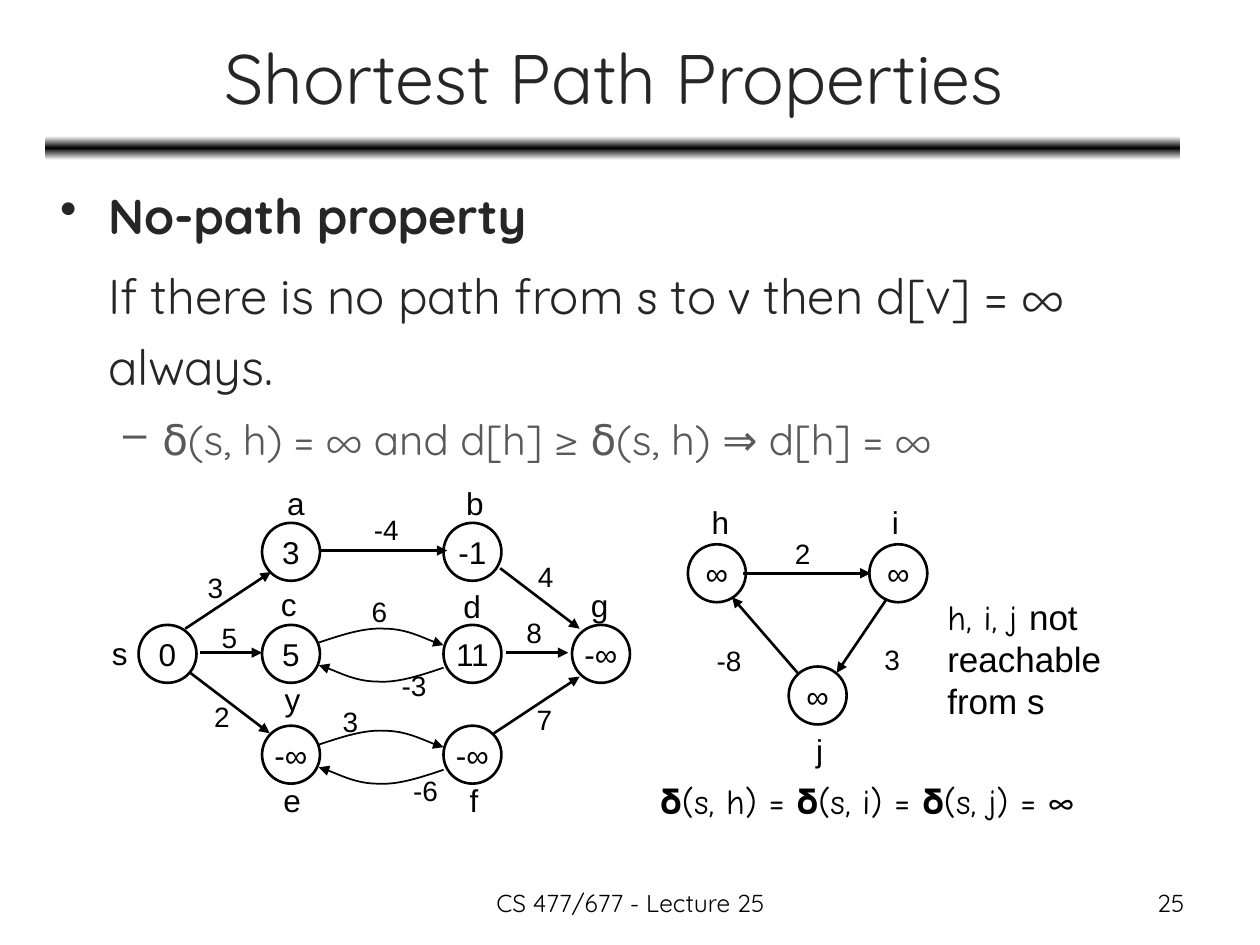
"""Build the lecture slide on the no-path property of shortest paths."""
from copy import deepcopy

from pptx import Presentation, util as u
from pptx.dml.color import RGBColor
from pptx.enum import shapes as es, text as et
from pptx.oxml.ns import qn
from pptx.oxml.xmlchemy import OxmlElement

BLACK = RGBColor(0, 0, 0)
WHITE = RGBColor(255, 255, 255)
DARK = RGBColor(0x26, 0x26, 0x26)
GREY = RGBColor(0x59, 0x59, 0x59)
SANS, HAND, ROUND = "Arial", "Comic Neue", "Quicksand"
MID, RIGHT = et.PP_ALIGN.CENTER, et.PP_ALIGN.RIGHT


def write(frame, rows, size, name=SANS, color=BLACK, wrap=False, **form):
    frame.word_wrap = wrap
    for i, row in enumerate(rows):
        para = frame.paragraphs[0] if i == 0 else frame.add_paragraph()
        for key, val in form.items():
            setattr(para, key, val)
        for words, look in row:
            run = para.add_run()
            run.text = words
            run.font.color.rgb = color
            for key, val in {"size": u.Pt(size), "name": name, **look}.items():
                setattr(run.font, key, val)


def stroke(shape, width, head=True):
    shape.line.color.rgb = BLACK
    shape.line.width = u.Pt(width)
    props = shape._element.spPr
    if head:
        tail = OxmlElement("a:tailEnd")
        tail.set("type", "triangle")
        props.find(qn("a:ln")).append(tail)
    if props.find(qn("a:effectLst")) is None:
        props.append(OxmlElement("a:effectLst"))


deck = Presentation()
deck.slide_width, deck.slide_height = u.Inches(10), u.Inches(7.5)
slide = deck.slides.add_slide(deck.slide_layouts[5])
items = slide.shapes

bar = items.add_shape(es.MSO_SHAPE.ROUNDED_RECTANGLE, u.Inches(0.36),
                      u.Inches(1.08), u.Inches(9.01), u.Inches(0.19))
bar.shadow.inherit = False
bar.line.fill.background()
bar.fill.gradient()
bar.fill.gradient_angle = 270
stops = bar._element.spPr.find(".//" + qn("a:gsLst"))
stops.append(deepcopy(stops[0]))
for stop, spot, color in zip(bar.fill.gradient_stops, (0, 0.5, 1), (WHITE, BLACK, WHITE)):
    stop.position = spot
    stop.color.rgb = color

title = items.title
place = {"left": 0.37, "top": 0.11, "width": 9, "height": 0.99}
for key, val in place.items():
    setattr(title, key, u.Inches(val))
title.text_frame.vertical_anchor = et.MSO_ANCHOR.MIDDLE
write(title.text_frame, [[("Shortest Path Properties", {})]], 40, ROUND, DARK, True, alignment=MID)

body = items.add_textbox(u.Inches(0.38), u.Inches(1.33), u.Inches(9.33), u.Inches(5.55)).text_frame
hand = {"name": HAND}
write(body, [
    [("No-path property", {"bold": True})],
    [("If there is no path from ", {}), ("s", hand), (" to ", {}), ("v", hand),
     (" then d[v] = ∞ always.", {})],
    [("δ(s, h) = ∞ and d[h] ≥ δ(s, h) ⇒ d[h] = ∞", {"size": u.Pt(24)})],
], 28, ROUND, DARK, True, line_spacing=1.2, space_before=u.Pt(5.6))
last = body.paragraphs[2]
last.level, last.space_before = 1, u.Pt(4.8)
last.runs[0].font.color.rgb = GREY
for para, left, hang, mark in zip(body.paragraphs, (0.38, 0.38, 0.81), (0.38, 0, 0.31), ("•", "", "–")):
    props = para._p.get_or_add_pPr()
    props.set("marL", str(u.Inches(left)))
    props.set("indent", str(-u.Inches(hang)))
    if mark:
        sign = OxmlElement("a:buChar")
        sign.set("char", mark)
        props.append(sign)

COLS, ROWS, DISC = (1.1, 2.08, 3.52, 4.54), (4.15, 4.96, 5.76), 0.46
nodes = [
    ("0", COLS[0], ROWS[1]), ("3", COLS[1], ROWS[0]), ("-1", COLS[2], ROWS[0]),
    ("5", COLS[1], ROWS[1]), ("11", COLS[2], ROWS[1]), ("-∞", COLS[3], ROWS[1]),
    ("-∞", COLS[1], ROWS[2]), ("-∞", COLS[2], ROWS[2]),
    ("∞", 5.46, 4.32), ("∞", 6.9, 4.32), ("∞", 6.26, 5.29),
]
for words, x, y in nodes:
    node = items.add_shape(es.MSO_SHAPE.OVAL, u.Inches(x), u.Inches(y), u.Inches(DISC), u.Inches(DISC))
    node.fill.background()
    node.shadow.inherit = False
    stroke(node, 1.5, False)
    node.text_frame.vertical_anchor = et.MSO_ANCHOR.MIDDLE
    write(node.text_frame, [[(words, {})]], 18, alignment=MID)

edges = [
    (2.54, 4.37, 3.55, 4.37), (1.47, 4.99, 2.15, 4.54), (1.51, 5.34, 2.14, 5.82),
    (3.97, 4.51, 4.6, 4.99), (3.92, 5.82, 4.6, 5.37), (1.59, 5.18, 2.08, 5.18),
    (4.02, 5.18, 4.51, 5.18), (5.9, 4.55, 6.91, 4.55), (7.04, 4.75, 6.64, 5.34),
    (6.33, 5.34, 5.81, 4.74),
]
for edge in edges:
    stroke(items.add_connector(es.MSO_CONNECTOR.STRAIGHT, *map(u.Inches, edge)), 1.5)

ahead = [(2.53, 5.1), (2.71, 5.04), (2.89, 4.98), (3.05, 4.99), (3.22, 4.99), (3.44, 5.1), (3.52, 5.12)]
back = [(6.05 - x, 10.4 - y) for x, y in ahead]
for drop in (0, 0.81):
    for bend in (ahead, back):
        dots = [(u.Inches(x), u.Inches(y + drop)) for x, y in bend]
        pen = items.build_freeform(*dots[0])
        pen.add_line_segments(dots[1:], close=False)
        curve = pen.convert_to_shape()
        curve.fill.background()
        curve.shadow.inherit = False
        stroke(curve, 1)
        legs = curve._element.spPr.findall(".//" + qn("a:lnTo"))
        track = legs[0].getparent()
        for start in (0, 3):
            cubic = OxmlElement("a:cubicBezTo")
            for leg in legs[start:start + 3]:
                cubic.append(leg[0])
                track.remove(leg)
            track.append(cubic)

names = [
    ("s", 0.79, 4.98), ("a", 2.18, 3.79), ("b", 3.6, 3.79), ("c", 2.13, 4.59),
    ("d", 3.58, 4.61), ("g", 4.59, 4.6), ("y", 2.16, 5.35), ("e", 2.15, 6.15),
    ("f", 3.63, 6.15), ("h", 5.55, 3.94), ("i", 6.98, 3.94), ("j", 6.38, 5.75),
]
costs = [
    ("3", 1.55, 4.48), ("-4", 2.87, 4.02), ("2", 1.6, 5.5), ("8", 4.08, 4.84),
    ("-6", 3.18, 6.09), ("-3", 3.09, 5.26), ("3", 2.62, 5.54), ("5", 1.66, 4.88),
    ("6", 2.85, 4.67), ("4", 4.17, 4.39), ("7", 4.16, 5.53), ("2", 6.21, 4.21),
    ("3", 6.92, 5.05), ("-8", 5.59, 5.06),
]
for group, size, high in ((names, 18, 0.4), (costs, 16, 0.37)):
    for words, x, y in group:
        wide = 0.26 if words in "fij" else 0.24 + 0.08 * len(words)
        label = items.add_textbox(u.Inches(x), u.Inches(y), u.Inches(wide), u.Inches(high))
        write(label.text_frame, [[(words, {})]], size)

notes = [
    ((5.14, 6.14, 3.71, 0.44), [[("𝛅(s, h) = 𝛅(s, i) = 𝛅(s, j) = ∞", hand)]], 20, {}),
    ((7.42, 4.68, 1.42, 1.1), [[("h, i, j ", hand), ("not", {})], [("reachable", {})],
                               [("from s", {})]], 20, {}),
    ((3.42, 7, 3.17, 0.35), [[("CS 477/677 - Lecture 25", {})]], 14,
     {"name": ROUND, "wrap": True, "alignment": MID}),
    ((7.17, 7, 2.33, 0.35), [[("25", {})]], 14, {"name": ROUND, "wrap": True, "alignment": RIGHT}),
]
for area, rows, size, form in notes:
    write(items.add_textbox(*map(u.Inches, area)).text_frame, rows, size, **form)

deck.save("out.pptx")
